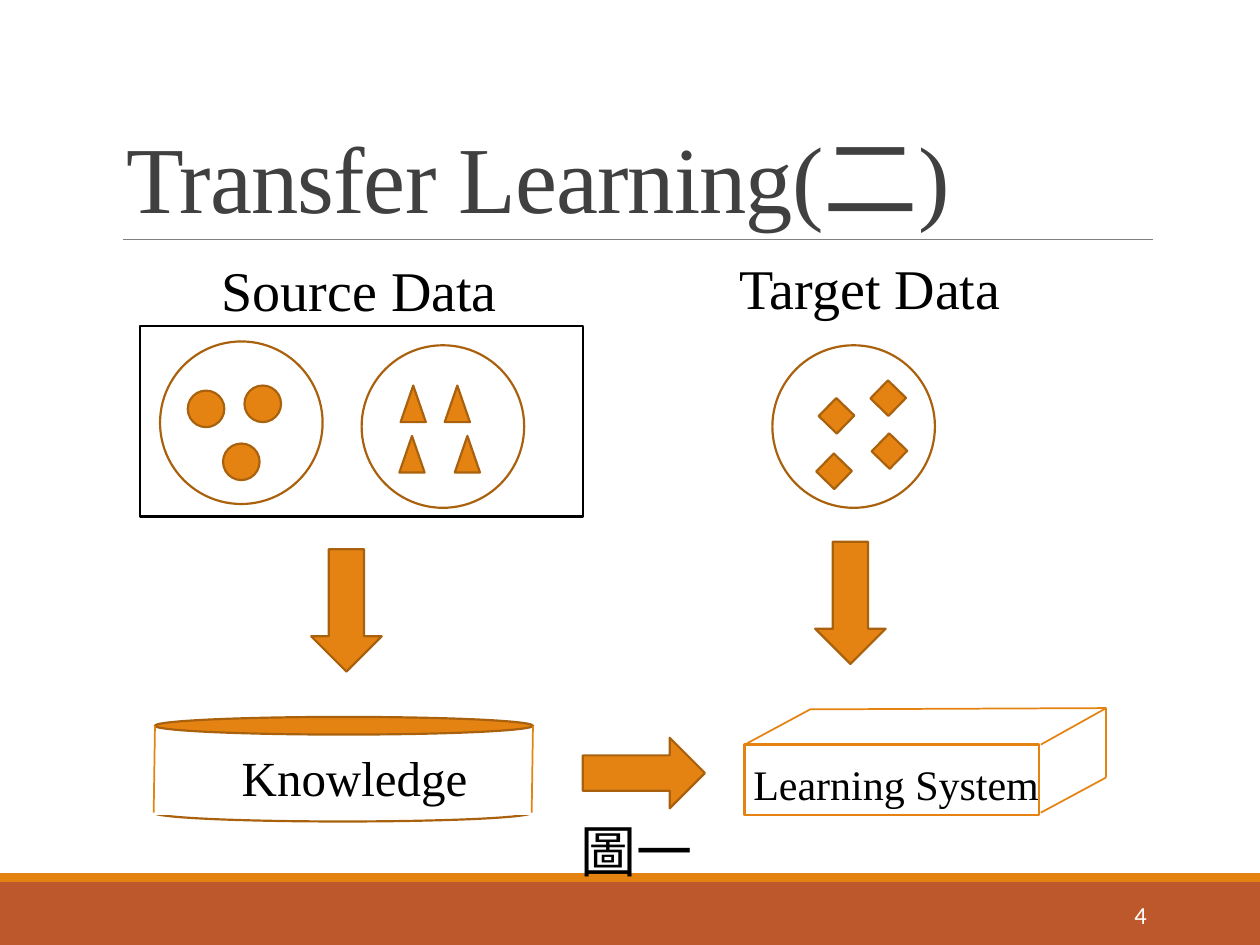
from lxml import etree
from pptx import Presentation
from pptx.dml.color import RGBColor
from pptx.enum.shapes import MSO_CONNECTOR, MSO_SHAPE
from pptx.enum.text import MSO_ANCHOR, MSO_AUTO_SIZE, PP_ALIGN
from pptx.oxml.ns import qn
from pptx.util import Inches, Pt

RECTANGLE, OVAL = MSO_SHAPE.RECTANGLE, MSO_SHAPE.OVAL
TRIANGLE, DOWN_ARROW = MSO_SHAPE.ISOSCELES_TRIANGLE, MSO_SHAPE.DOWN_ARROW
STRAIGHT = MSO_CONNECTOR.STRAIGHT
TOP, MIDDLE, BOTTOM = MSO_ANCHOR.TOP, MSO_ANCHOR.MIDDLE, MSO_ANCHOR.BOTTOM
LEFT, RIGHT = PP_ALIGN.LEFT, PP_ALIGN.RIGHT
NO_AUTOFIT, GROW = MSO_AUTO_SIZE.NONE, MSO_AUTO_SIZE.SHAPE_TO_FIT_TEXT
TITLE_ONLY = 5

ORANGE = RGBColor(0xE4, 0x83, 0x12)
BROWN = RGBColor(0xA9, 0x61, 0x0D)
RUST = RGBColor(0xBD, 0x58, 0x2C)
GRAY = RGBColor(0x80, 0x80, 0x80)
DARK_GRAY = RGBColor(0x40, 0x40, 0x40)
BLACK = RGBColor(0, 0, 0)
WHITE = RGBColor(0xFF, 0xFF, 0xFF)
SERIF, SANS, CHINESE = "Times New Roman", "Calibri", "Noto Sans CJK SC"


class DiagramSlide:
    """Draws the elements of a transfer learning diagram on one slide."""

    def __init__(self, presentation):
        self.slide = presentation.slides.add_slide(presentation.slide_layouts[TITLE_ONLY])
        self.slide.background.fill.solid()
        self.slide.background.fill.fore_color.rgb = WHITE

    def add_run(self, paragraph, text, size, font=SERIF, color=BLACK):
        run = paragraph.add_run()
        run.text = text
        run.font.size = Pt(size)
        run.font.name = font
        run.font.color.rgb = color
        properties = run.font._element
        if not text.isascii():
            etree.SubElement(properties, qn("a:ea")).set("typeface", CHINESE)
        return properties

    def title(self, pieces, left, top, width, height):
        title = self.slide.shapes.title
        title.left, title.top = Inches(left), Inches(top)
        title.width, title.height = Inches(width), Inches(height)
        frame = title.text_frame
        frame.word_wrap = True
        frame.auto_size = NO_AUTOFIT
        frame.vertical_anchor = BOTTOM
        paragraph = frame.paragraphs[0]
        paragraph.alignment = LEFT
        paragraph.line_spacing = 0.85
        for piece in pieces:
            self.add_run(paragraph, piece, 54, color=DARK_GRAY).set("spc", "-50")

    def label(self, text, left, top, width, height, size, font=SERIF, color=BLACK,
              alignment=LEFT, anchor=TOP, wrap=False, auto_size=GROW):
        box = self.slide.shapes.add_textbox(
            Inches(left), Inches(top), Inches(width), Inches(height))
        frame = box.text_frame
        frame.word_wrap = wrap
        frame.auto_size = auto_size
        frame.vertical_anchor = anchor
        paragraph = frame.paragraphs[0]
        paragraph.alignment = alignment
        self.add_run(paragraph, text, size, font, color)

    def shape(self, kind, left, top, width, height, fill=None, line=BROWN, rotation=0):
        shape = self.slide.shapes.add_shape(
            kind, Inches(left), Inches(top), Inches(width), Inches(height))
        shape.shadow.inherit = False
        shape.rotation = rotation
        if fill is None:
            shape.fill.background()
        else:
            shape.fill.solid()
            shape.fill.fore_color.rgb = fill
        if line is None:
            shape.line.fill.background()
        else:
            shape.line.color.rgb = line
            shape.line.width = Pt(1.25)

    def samples(self, kind, positions, width, height, rotation=0):
        for left, top in positions:
            self.shape(kind, left, top, width, height, ORANGE, rotation=rotation)

    def data_circle(self, left, top):
        self.shape(OVAL, left, top, 1.29, 1.29)

    def arrow(self, left, top, rotation=0):
        self.shape(DOWN_ARROW, left, top, 0.56, 0.97, ORANGE, rotation=rotation)

    def line(self, start, end, color=ORANGE, width=1):
        connector = self.slide.shapes.add_connector(
            STRAIGHT, *(Inches(value) for value in (*start, *end)))
        connector.line.color.rgb = color
        connector.line.width = Pt(width)
        etree.SubElement(connector._element.spPr, qn("a:effectLst"))


presentation = Presentation()
presentation.slide_width, presentation.slide_height = Inches(10), Inches(7.5)
diagram = DiagramSlide(presentation)

diagram.shape(RECTANGLE, 0, 7, 10, 0.5, RUST, None)
diagram.shape(RECTANGLE, 0, 6.93, 10, 0.07, ORANGE, None)
diagram.line((0.98, 1.9), (9.15, 1.9), GRAY, 0.5)
diagram.title(("Transfer Learning(", "二", ")"), 0.9, 0.31, 8.25, 1.59)
diagram.label("4", 8.12, 7.06, 1.08, 0.4, 14, SANS, WHITE, RIGHT, MIDDLE, True, NO_AUTOFIT)

diagram.shape(RECTANGLE, 1.11, 2.59, 3.52, 1.51, line=BLACK)
for left, top in ((2.87, 2.74), (1.27, 2.71), (6.13, 2.74)):
    diagram.data_circle(left, top)
diagram.samples(OVAL, ((1.49, 3.1), (1.94, 3.06), (1.77, 3.52)), 0.29, 0.29)
diagram.samples(TRIANGLE, ((3.18, 3.06), (3.53, 3.06), (3.17, 3.46), (3.61, 3.46)), 0.2, 0.29)
diagram.samples(RECTANGLE, ((6.54, 3.2), (6.95, 3.06), (6.52, 3.64), (6.96, 3.48)),
                0.2, 0.2, 314.2)
diagram.label("Source Data", 1.66, 1.98, 2.41, 0.64, 32)
diagram.label("Target Data", 5.77, 1.96, 2.29, 0.64, 32)
diagram.arrow(2.47, 4.36)
diagram.arrow(6.47, 4.3)

diagram.shape(OVAL, 1.23, 5.69, 3, 0.14, ORANGE)
diagram.shape(OVAL, 1.22, 6.38, 3, 0.14)
diagram.shape(RECTANGLE, 1.07, 6.19, 3.16, 0.27, WHITE, WHITE)
for side in (1.23, 4.23):
    diagram.line((side, 5.76), (side - 0.01, 6.45))
diagram.label("Knowledge", 1.82, 5.88, 2.01, 0.57, 28)
diagram.arrow(4.83, 5.65, 270)

diagram.shape(RECTANGLE, 5.91, 5.91, 2.34, 0.56, line=ORANGE)
back_left, back_right, back_bottom = (6.43, 5.63), (8.78, 5.62), (8.78, 6.17)
for start, end in (((5.91, 5.91), back_left), (back_left, back_right),
                   ((8.26, 5.91), back_right), ((8.26, 6.45), back_bottom),
                   (back_right, back_bottom)):
    diagram.line(start, end)
diagram.label("Learning System", 5.88, 5.97, 2.49, 0.5, 24)
diagram.label("圖一", 4.51, 6.43, 1.29, 0.64, 32, CHINESE, wrap=True)

presentation.save("out.pptx")
